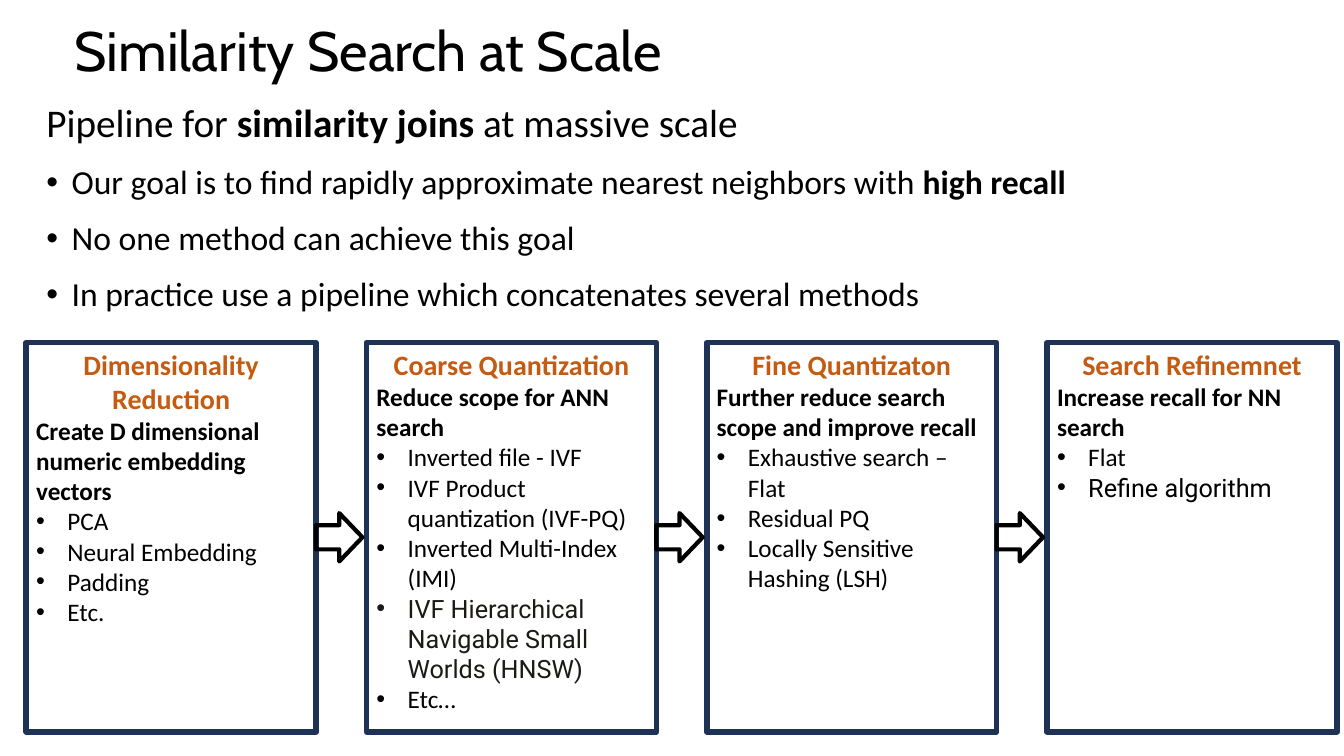
import pptx
import pptx.dml.color
import pptx.enum.shapes
import pptx.enum.text
import pptx.oxml.ns
import pptx.util
from lxml import etree

Inches, Pt = pptx.util.Inches, pptx.util.Pt
ALIGN = pptx.enum.text.PP_ALIGN
ANCHOR = pptx.enum.text.MSO_ANCHOR
SHAPE = pptx.enum.shapes.MSO_SHAPE

BLACK, NAVY, ORANGE, CHARCOAL = "000000", "1E3256", "C55A11", "1C1917"

# Stage heading, purpose, and methods as (text, font, colour)
STAGES = [
    ("Dimensionality Reduction", "Create D dimensional numeric embedding vectors",
     [("PCA", "Calibri", BLACK), ("Neural Embedding", "Calibri", BLACK),
      ("Padding", "Calibri", BLACK), ("Etc.", "Calibri", BLACK)]),
    ("Coarse Quantization", "Reduce scope for ANN search",
     [("Inverted file - IVF", "Calibri", BLACK),
      ("IVF Product quantization (IVF-PQ)", "Calibri", BLACK),
      ("Inverted Multi-Index (IMI)", "Calibri", BLACK),
      ("IVF Hierarchical Navigable Small Worlds (HNSW)", "Roboto", CHARCOAL),
      ("Etc…", "Calibri", BLACK)]),
    ("Fine Quantizaton", "Further reduce search scope and improve recall",
     [("Exhaustive search – Flat", "Calibri", BLACK), ("Residual PQ", "Calibri", BLACK),
      ("Locally Sensitive Hashing (LSH)", "Calibri", BLACK)]),
    ("Search Refinemnet", "Increase recall for NN search",
     [("Flat", "Calibri", BLACK), ("Refine algorithm", "Roboto", BLACK)]),
]

# Introduction lines as (text, bold) pieces; the first line is the lead
INTRO = [
    [("Pipeline for ", False), ("similarity joins", True), (" at massive scale", False)],
    [("Our goal is to find rapidly approximate nearest neighbors with ", False),
     ("high recall", True)],
    [("No one method can achieve this goal", False)],
    [("In practice use a pipeline which concatenates several methods", False)],
]


def rgb(color):
    return pptx.dml.color.RGBColor.from_string(color)


def place(part, left, top, width, height):
    part.left, part.top = Inches(left), Inches(top)
    part.width, part.height = Inches(width), Inches(height)


def set_bullet(paragraph, indent):
    """Hang a bullet by indent inches; zero means no bullet."""
    props = paragraph._p.get_or_add_pPr()
    props.set("marL", str(Inches(indent)))
    props.set("indent", str(-Inches(indent)))
    if indent:
        font = etree.SubElement(props, pptx.oxml.ns.qn("a:buFont"))
        font.set("typeface", "Arial")
        etree.SubElement(props, pptx.oxml.ns.qn("a:buChar")).set("char", "•")
    else:
        etree.SubElement(props, pptx.oxml.ns.qn("a:buNone"))


def set_font(paragraph, size, color=BLACK, name="Calibri", bold=None):
    font = paragraph.font
    font.size, font.name, font.bold = Pt(size), name, bold
    font.color.rgb = rgb(color)


def next_paragraph(frame, index):
    return frame.paragraphs[0] if index == 0 else frame.add_paragraph()


def fill_title(title, left, top, width, height):
    place(title, left, top, width, height)
    frame = title.text_frame
    frame.text = "Similarity Search at Scale"
    frame.vertical_anchor = ANCHOR.MIDDLE
    frame.auto_size = pptx.enum.text.MSO_AUTO_SIZE.NONE
    heading = frame.paragraphs[0]
    heading.alignment = ALIGN.LEFT
    heading.line_spacing = 0.9
    set_font(heading, 39.6, name="Cabin")


def fill_intro(body, left, top, width, height):
    place(body, left, top, width, height)
    frame = body.text_frame
    frame.vertical_anchor = ANCHOR.TOP
    frame.auto_size = pptx.enum.text.MSO_AUTO_SIZE.NONE
    for index, pieces in enumerate(INTRO):
        line = next_paragraph(frame, index)
        line.line_spacing = 0.9
        line.space_before = Pt(14 if index else 0)
        set_bullet(line, 0.25 if index else 0)
        set_font(line, 24 if index else 28)
        for text, bold in pieces:
            piece = line.add_run()
            piece.text = text
            piece.font.bold = bold


def add_outline(slide, kind, left, top, width, height, color, weight):
    outline = slide.shapes.add_shape(
        kind, Inches(left), Inches(top), Inches(width), Inches(height))
    outline.shadow.inherit = False
    outline.fill.background()
    outline.line.color.rgb = rgb(color)
    outline.line.width = Pt(weight)
    return outline


def add_stage(slide, stage, left, top, width, height):
    heading, purpose, methods = stage
    box = add_outline(slide, SHAPE.RECTANGLE, left, top, width, height, NAVY, 4)
    frame = box.text_frame
    frame.word_wrap = True
    frame.vertical_anchor = ANCHOR.TOP

    title = frame.paragraphs[0]
    title.text = heading
    title.alignment = ALIGN.CENTER
    set_font(title, 20, ORANGE, bold=True)

    summary = frame.add_paragraph()
    summary.text = purpose
    summary.alignment = ALIGN.LEFT
    set_font(summary, 18, bold=True)

    for text, font_name, color in methods:
        method = frame.add_paragraph()
        method.text = text
        method.alignment = ALIGN.LEFT
        set_bullet(method, 0.31)
        set_font(method, 18, color, font_name)


def add_pipeline(slide, left, top, width, height):
    """Equal stage boxes with an arrow in every gap."""
    gap, arrow_width, arrow_height = 0.5, 0.46, 0.48
    stage_width = (width - gap * (len(STAGES) - 1)) / len(STAGES)
    lefts = [left + i * (stage_width + gap) for i in range(len(STAGES))]
    for stage, stage_left in zip(STAGES, lefts):
        add_stage(slide, stage, stage_left, top, stage_width, height)
    for stage_left in lefts[:-1]:
        add_outline(slide, SHAPE.RIGHT_ARROW, stage_left + stage_width,
                    top + (height - arrow_height) / 2,
                    arrow_width, arrow_height, BLACK, 3)


def main():
    deck = pptx.Presentation()
    deck.slide_width, deck.slide_height = Inches(13.33), Inches(7.5)
    slide = deck.slides.add_slide(deck.slide_layouts[1])
    fill_title(slide.shapes.title, 0.64, 0.24, 11.5, 0.58)
    fill_intro(slide.placeholders[1], 0.36, 0.98, 12.6, 2.26)
    add_pipeline(slide, 0.26, 3.4, 13, 3.86)
    deck.save("out.pptx")


if __name__ == "__main__":
    main()
